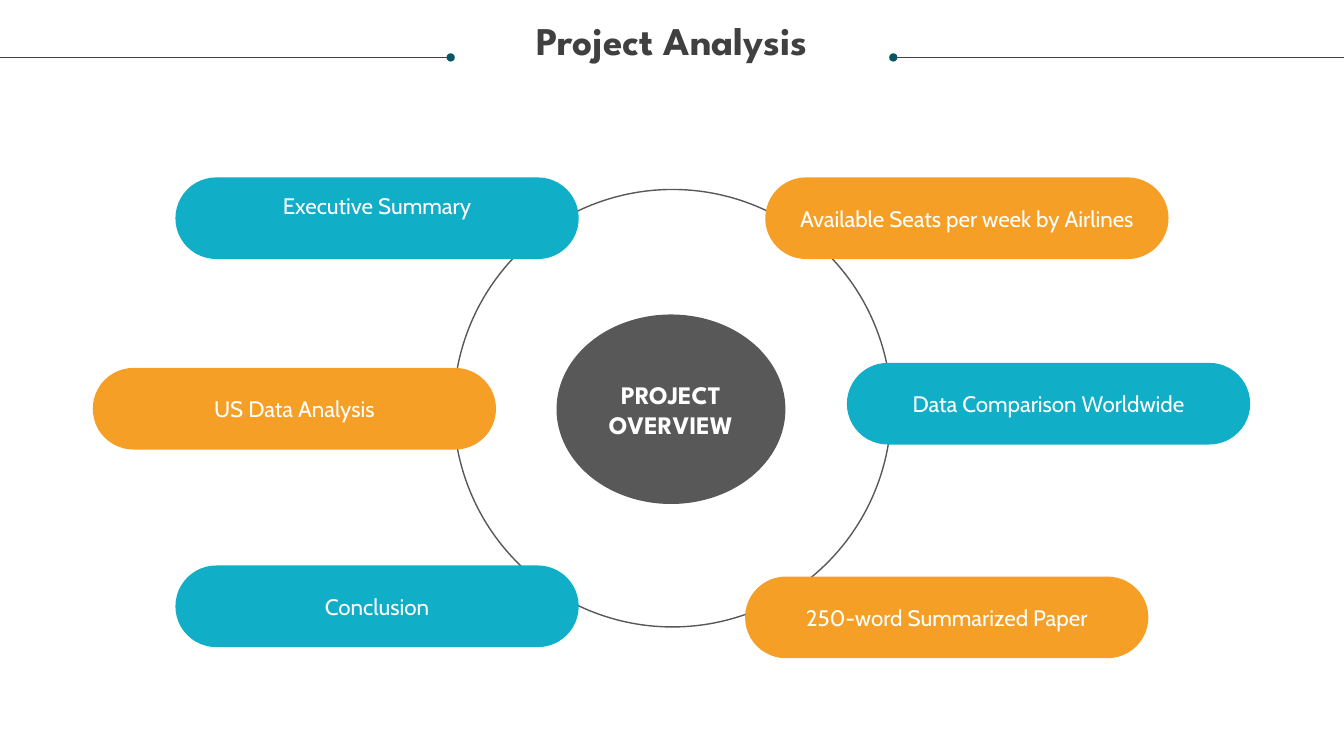
from dataclasses import dataclass

from lxml import etree
from pptx import Presentation
from pptx.dml.color import RGBColor
from pptx.enum import shapes, text
from pptx.oxml import ns
from pptx.shapes.autoshape import Shape
from pptx.slide import Slide
from pptx.util import Inches, Pt

ORANGE = RGBColor(0xF5, 0x9F, 0x26)
CYAN = RGBColor(0x11, 0xAE, 0xC7)
GREY = RGBColor(0x58, 0x58, 0x58)
TEAL = RGBColor(0x08, 0x57, 0x64)
CHARCOAL = RGBColor(0x40, 0x40, 0x40)
WHITE = RGBColor(0xFF, 0xFF, 0xFF)
HEADING_FONT = "League Spartan"
BODY_FONT = "Cabin"
PAGE_WIDTH, PAGE_HEIGHT = 13.33, 7.5
PILL_WIDTH, PILL_HEIGHT = 4, 0.81
RULE_Y = 0.57


@dataclass(frozen=True)
class Topic:
    label: str
    left: float
    top: float
    color: RGBColor
    bottom_inset: float = 0.05


@dataclass(frozen=True)
class Rule:
    start: float
    end: float
    dot_end: str


TOPICS = [
    Topic("Available Seats per week by Airlines", 7.59, 1.76, ORANGE),
    Topic("Data Comparison Worldwide", 8.4, 3.6, CYAN),
    Topic("250-word Summarized Paper", 7.39, 5.72, ORANGE),
    Topic("Executive Summary", 1.74, 1.76, CYAN, bottom_inset=0.31),
    Topic("US Data Analysis", 0.92, 3.65, ORANGE),
    Topic("Conclusion", 1.74, 5.61, CYAN),
]
RULES = [Rule(0, 4.47, "tailEnd"), Rule(8.86, PAGE_WIDTH, "headEnd")]


def write_text(box: Shape, content: str, font_name: str, size: int,
               color: RGBColor, bold: bool = False) -> None:
    """Fill a shape with centred paragraphs, one per line of content."""
    box.text_frame.text = content
    for para in box.text_frame.paragraphs:
        para.alignment = text.PP_ALIGN.CENTER
        para.font.name = font_name
        para.font.size = Pt(size)
        para.font.bold = bold
        para.font.color.rgb = color


def add_title(page: Slide) -> None:
    title = page.shapes.title
    title.left, title.top = Inches(0.25), Inches(0.21)
    title.width, title.height = Inches(12.83), Inches(0.85)
    write_text(title, "Project Analysis", HEADING_FONT, 28, CHARCOAL, bold=True)
    frame = title.text_frame
    frame.margin_left = frame.margin_right = 0
    frame.margin_top = frame.margin_bottom = 0
    frame.vertical_anchor = text.MSO_ANCHOR.TOP
    frame.auto_size = text.MSO_AUTO_SIZE.NONE
    frame.paragraphs[0].line_spacing = 0.9


def add_rule(page: Slide, rule: Rule) -> None:
    line = page.shapes.add_connector(
        shapes.MSO_CONNECTOR.STRAIGHT, Inches(rule.start), Inches(RULE_Y),
        Inches(rule.end), Inches(RULE_Y))
    line.line.color.rgb = TEAL
    line.line.width = Pt(0.5)
    dot = etree.SubElement(line.line._get_or_add_ln(), ns.qn(f"a:{rule.dot_end}"))
    dot.set("type", "oval")
    etree.SubElement(line._element.spPr, ns.qn("a:effectLst"))


def add_flat_shape(page: Slide, kind: shapes.MSO_SHAPE, left: float, top: float,
                   width: float, height: float) -> Shape:
    shape = page.shapes.add_shape(
        kind, Inches(left), Inches(top), Inches(width), Inches(height))
    shape.shadow.inherit = False
    shape.text_frame.vertical_anchor = text.MSO_ANCHOR.MIDDLE
    return shape


def add_ring(page: Slide) -> None:
    ring = add_flat_shape(page, shapes.MSO_SHAPE.OVAL, 4.5, 1.88, 4.34, 4.34)
    ring.fill.background()
    ring.line.color.rgb = GREY
    ring.line.width = Pt(1)


def fill_solid(shape: Shape, color: RGBColor) -> None:
    shape.fill.solid()
    shape.fill.fore_color.rgb = color
    shape.line.fill.background()


def add_hub(page: Slide) -> None:
    hub = add_flat_shape(page, shapes.MSO_SHAPE.OVAL, 5.52, 3.12, 2.27, 1.88)
    fill_solid(hub, GREY)
    write_text(hub, "PROJECT\nOVERVIEW", HEADING_FONT, 18, WHITE, bold=True)


def add_topic(page: Slide, topic: Topic) -> None:
    pill = add_flat_shape(page, shapes.MSO_SHAPE.ROUNDED_RECTANGLE,
                          topic.left, topic.top, PILL_WIDTH, PILL_HEIGHT)
    pill.adjustments[0] = 0.5
    fill_solid(pill, topic.color)
    write_text(pill, topic.label, BODY_FONT, 16, WHITE)
    pill.text_frame.margin_bottom = Inches(topic.bottom_inset)


def main() -> None:
    deck = Presentation()
    deck.slide_width, deck.slide_height = Inches(PAGE_WIDTH), Inches(PAGE_HEIGHT)
    title_only = deck.slide_layouts.get_by_name("Title Only")
    page = deck.slides.add_slide(title_only)
    add_title(page)
    add_ring(page)
    for rule in RULES:
        add_rule(page, rule)
    add_hub(page)
    for topic in TOPICS:
        add_topic(page, topic)
    deck.save("out.pptx")


if __name__ == "__main__":
    main()
